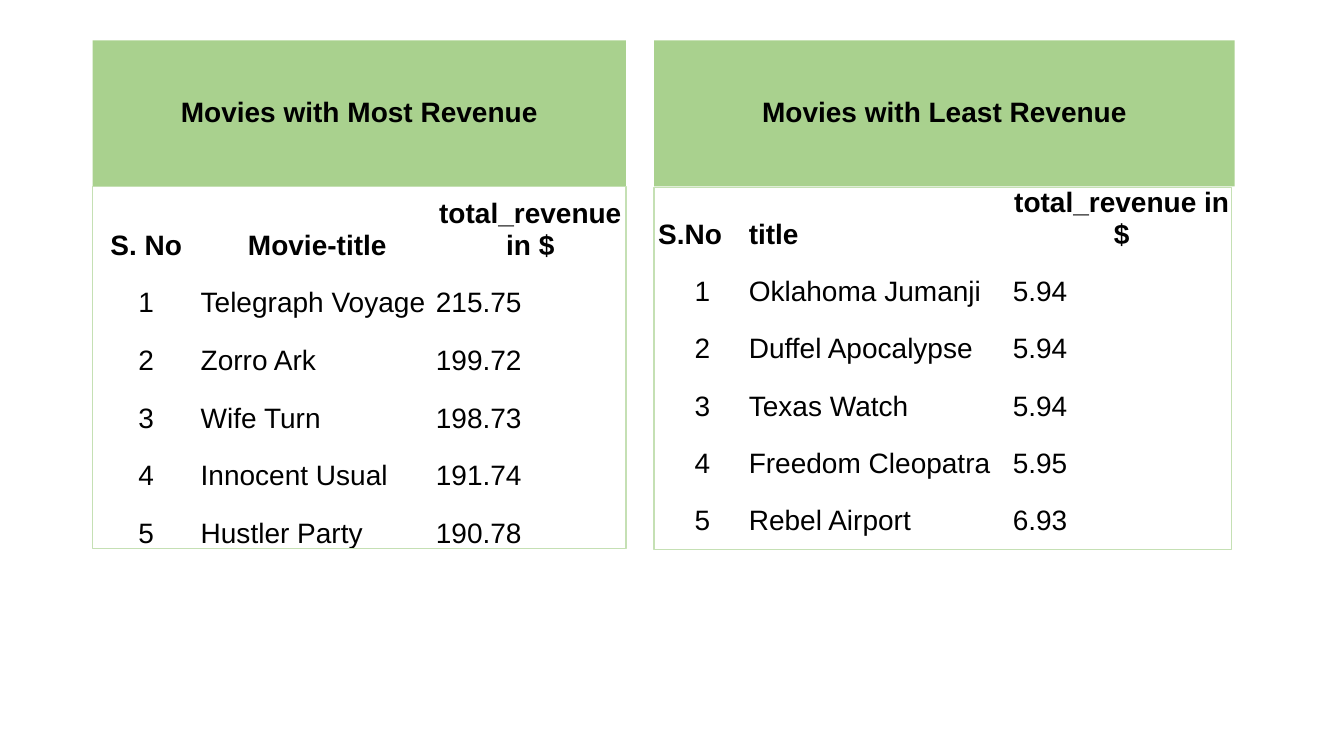
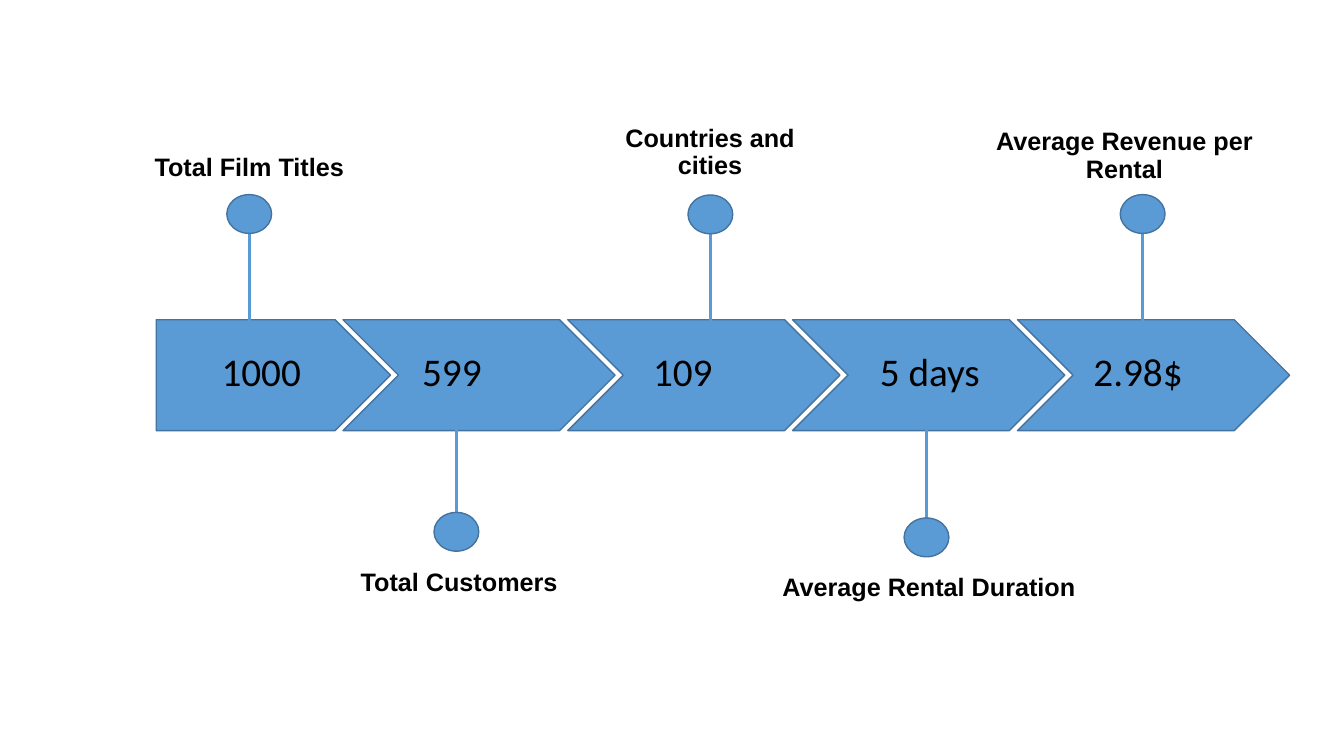
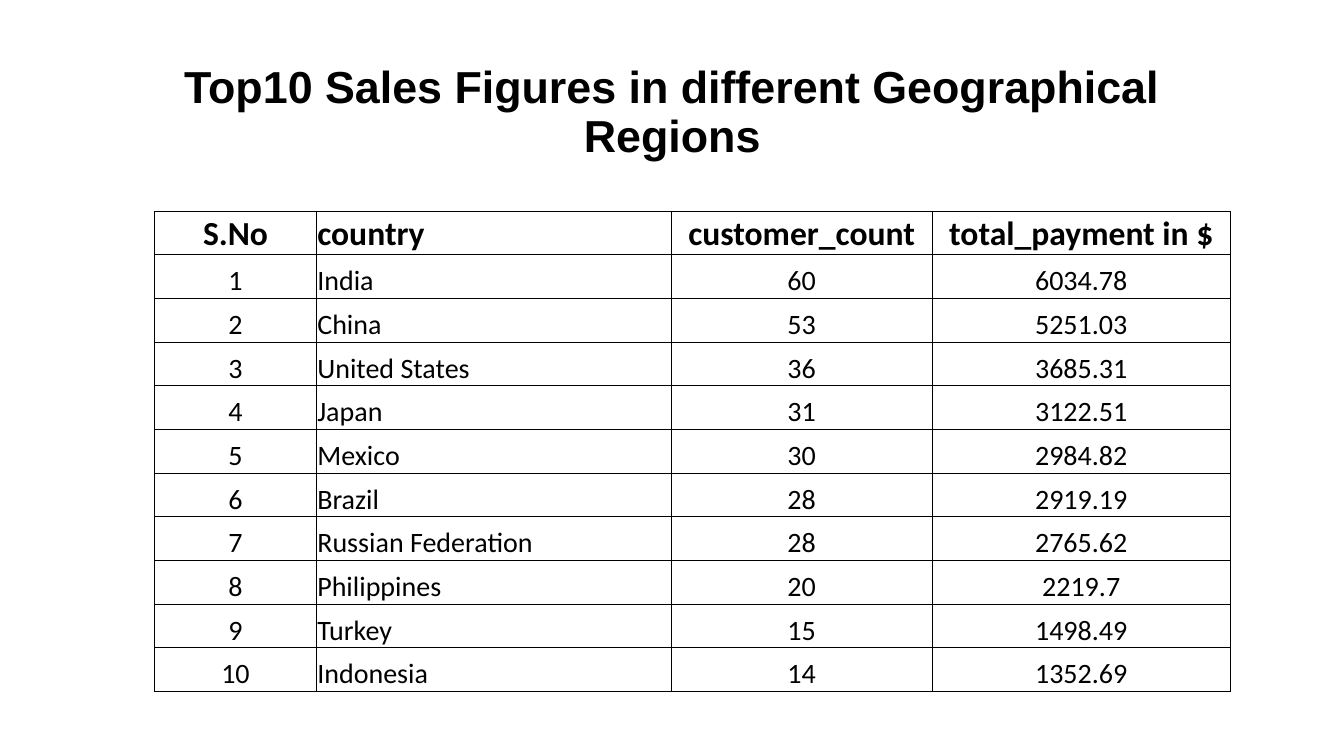
from lxml import etree
from pptx import Presentation
from pptx.dml.color import RGBColor
from pptx.enum.shapes import MSO_CONNECTOR, MSO_SHAPE
from pptx.enum.text import MSO_ANCHOR, MSO_AUTO_SIZE, PP_ALIGN
from pptx.oxml.ns import qn
from pptx.util import Pt

RECT, OVAL = MSO_SHAPE.RECTANGLE, MSO_SHAPE.OVAL
CHEVRON, PENTAGON = MSO_SHAPE.CHEVRON, MSO_SHAPE.PENTAGON
STRAIGHT = MSO_CONNECTOR.STRAIGHT
TOP, MIDDLE, BOTTOM = MSO_ANCHOR.TOP, MSO_ANCHOR.MIDDLE, MSO_ANCHOR.BOTTOM
ALIGN = {"l": PP_ALIGN.LEFT, "c": PP_ALIGN.CENTER}

# Shared look
BLACK, GREEN, PALE_GREEN = "000000", "A9D18E", "C5E0B4"
BLUE, DARK_BLUE = "5B9BD5", "43739E"
HEADING, BODY = "Arial", "Calibri"

# Revenue tables
MOST = [
    ("S. No", "Movie-title", "total_revenue in $"),
    ("1", "Telegraph Voyage", "215.75"),
    ("2", "Zorro Ark", "199.72"),
    ("3", "Wife Turn", "198.73"),
    ("4", "Innocent Usual", "191.74"),
    ("5", "Hustler Party", "190.78"),
]
LEAST = [
    ("S.No", "title", "total_revenue in $"),
    ("1", "Oklahoma Jumanji", "5.94"),
    ("2", "Duffel Apocalypse", "5.94"),
    ("3", "Texas Watch", "5.94"),
    ("4", "Freedom Cleopatra", "5.95"),
    ("5", "Rebel Airport", "6.93"),
]

# Regional sales
REGIONS = [
    ("S.No", "country", "customer_count", "total_payment in $"),
    ("1", "India", "60", "6034.78"),
    ("2", "China", "53", "5251.03"),
    ("3", "United States", "36", "3685.31"),
    ("4", "Japan", "31", "3122.51"),
    ("5", "Mexico", "30", "2984.82"),
    ("6", "Brazil", "28", "2919.19"),
    ("7", "Russian Federation", "28", "2765.62"),
    ("8", "Philippines", "20", "2219.7"),
    ("9", "Turkey", "15", "1498.49"),
    ("10", "Indonesia", "14", "1352.69"),
]

# Key figures: value, its left, label, label box, pin centre, pin top
FIGURES = [
    ("1000", 151.2, "Total Film Titles", (100, 107.3, 156.2, 25.2), 178, 139),
    ("599", 294.5, "Total Customers", (211.7, 403.9, 232.6, 25.2), 326, 366),
    ("109", 459.4, "Countries and cities", (429.1, 85.7, 156.2, 46.8), 507.4, 139.3),
    ("5 days", 621.4, "Average Rental Duration", (547.2, 407.5, 232.6, 25.2), 661.8, 370),
    ("2.98$", 774, "Average Revenue per Rental", (677.5, 90.7, 251.3, 41.8), 816.2, 139),
]
BAND_TOP, BAND_H = 228.4, 79.2
PIN_W, PIN_H, STEM = 32, 27.7, 62.6


def rgb(color):
    return RGBColor.from_string(color)


def box_pt(box):
    return [Pt(v) for v in box]


def add_run(p, text, size, font, bold=False):
    r = p.add_run()
    r.text = text
    r.font.size, r.font.name, r.font.bold = Pt(size), font, bold
    r.font.color.rgb = rgb(BLACK)


def add_shape(s, kind, box, fill=None, line=None):
    sp = s.shapes.add_shape(kind, *box_pt(box))
    sp.shadow.inherit = False
    if fill:
        sp.fill.solid()
        sp.fill.fore_color.rgb = rgb(fill)
    else:
        sp.fill.background()
    if line:
        sp.line.color.rgb = rgb(line)
        sp.line.width = Pt(1)
    else:
        sp.line.fill.background()
    return sp


def add_heading(s, text, box, size, fill=None):
    sp = add_shape(s, RECT, box, fill) if fill else s.shapes.add_textbox(*box_pt(box))
    tf = sp.text_frame
    tf.word_wrap = True
    tf.vertical_anchor = MIDDLE
    p = tf.paragraphs[0]
    p.alignment = ALIGN["c"]
    p.line_spacing = 0.9
    add_run(p, text, size, HEADING, True)


def add_value(s, text, left):
    sp = s.shapes.add_textbox(*box_pt((left, 244.4, 105, 41.2)))
    tf = sp.text_frame
    tf.word_wrap = True
    tf.auto_size = MSO_AUTO_SIZE.SHAPE_TO_FIT_TEXT
    tf.vertical_anchor = TOP
    add_run(tf.paragraphs[0], text, 28, BODY)


def add_stem(s, x, top):
    c = s.shapes.add_connector(STRAIGHT, Pt(x), Pt(top), Pt(x), Pt(top + STEM))
    c.line.color.rgb = rgb(BLUE)
    c.line.width = Pt(2.25)
    etree.SubElement(c._element.spPr, qn("a:effectLst"))


def set_borders(cell, color):
    tc_pr = cell._tc.get_or_add_tcPr()
    for side in ("a:lnL", "a:lnR", "a:lnT", "a:lnB"):
        ln = etree.SubElement(tc_pr, qn(side), w=str(Pt(0.5)))
        if color:
            fill = etree.SubElement(ln, qn("a:solidFill"))
            etree.SubElement(fill, qn("a:srgbClr"), val=color)
        else:
            etree.SubElement(ln, qn("a:noFill"))


def add_table(s, rows, left, top, widths, heights, aligns, font, head_size, border=None):
    """heights and aligns each hold one entry for the header and one for the body."""
    row_heights = [heights[0]] + [heights[1]] * (len(rows) - 1)
    box = (left, top, sum(widths), sum(row_heights))
    table = s.shapes.add_table(len(rows), len(widths), *box_pt(box)).table
    table.first_row = table.horz_banding = False
    for col, width in zip(table.columns, widths):
        col.width = Pt(width)
    for i, (row, height) in enumerate(zip(rows, row_heights)):
        table.rows[i].height = Pt(height)
        head = i == 0
        for j, text in enumerate(row):
            cell = table.cell(i, j)
            set_borders(cell, border)
            cell.fill.background()
            cell.margin_left = cell.margin_right = cell.margin_top = Pt(0.7)
            cell.margin_bottom = Pt(0)
            cell.vertical_anchor = BOTTOM
            p = cell.text_frame.paragraphs[0]
            p.alignment = ALIGN[aligns[0 if head else 1][j]]
            add_run(p, text, head_size if head else 20, font, head)


def revenue_slide(s):
    add_heading(s, "Movies with Most Revenue", (66.2, 28.8, 380.9, 104.4), 20, GREEN)
    add_table(s, MOST, 66.2, 133.2, (76.5, 168, 136.4), (53.3, 41.2),
              ("ccc", "cll"), HEADING, 20)
    add_heading(s, "Movies with Least Revenue", (467.3, 28.8, 414.7, 104.4), 20, GREEN)
    add_shape(s, RECT, (66.2, 133.2, 380.9, 258.5), line=PALE_GREEN)
    add_table(s, LEAST, 469.4, 133.2, (64.8, 188.6, 157), (41, 41),
              ("llc", "cll"), HEADING, 20)
    add_shape(s, RECT, (467.3, 133.9, 412.6, 258.5), line=PALE_GREEN)


def figures_slide(s):
    # Arrow band
    for i in range(4):
        add_shape(s, CHEVRON, (245 + 160.6 * i, BAND_TOP, 194.4, BAND_H), BLUE, DARK_BLUE)
    add_shape(s, PENTAGON, (111.6, BAND_TOP, 167.4, BAND_H), BLUE, DARK_BLUE)
    # Values with their pins and labels
    for value, left, label, label_box, x, pin_top in FIGURES:
        above = pin_top < BAND_TOP
        add_value(s, value, left)
        add_stem(s, x, pin_top + PIN_H if above else pin_top - STEM)
        add_shape(s, OVAL, (x - PIN_W / 2, pin_top, PIN_W, PIN_H), BLUE, DARK_BLUE)
        add_heading(s, label, label_box, 18)


def regions_slide(s):
    add_heading(s, "Top10 Sales Figures in different Geographical Regions",
                (66.2, 28.8, 828, 104.4), 32)
    add_table(s, REGIONS, 110.5, 150.8, (115.5, 253.4, 186.5, 213), (31.2, 31.2),
              ("clcc", "clcc"), BODY, 24, BLACK)


def main():
    prs = Presentation()
    prs.slide_width, prs.slide_height = Pt(960), Pt(540)
    for build in (revenue_slide, figures_slide, regions_slide):
        build(prs.slides.add_slide(prs.slide_layouts[6]))
    prs.save("out.pptx")


if __name__ == "__main__":
    main()
